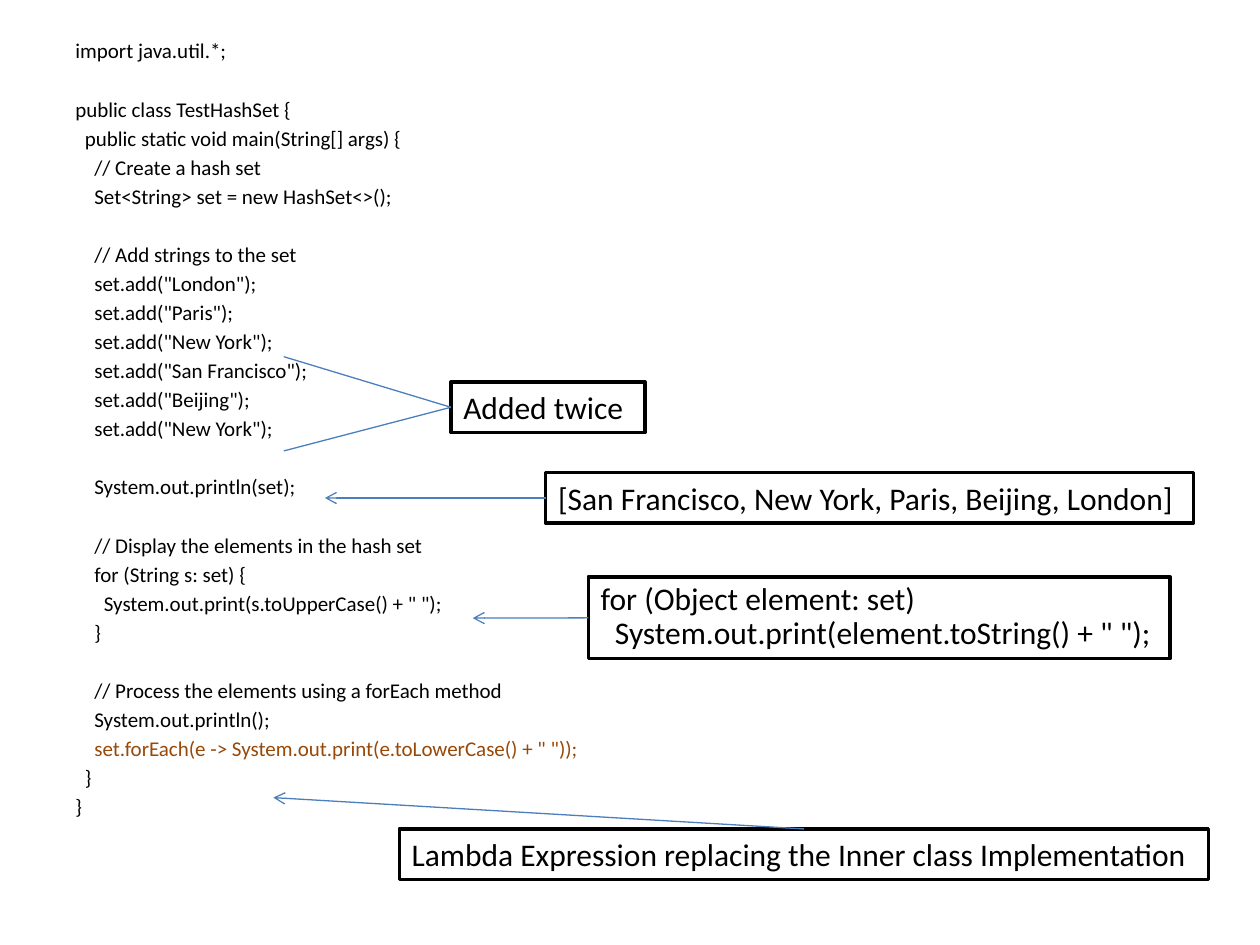
"""Build a slide that shows a HashSet program with callouts on its key lines."""
from lxml.etree import SubElement
from pptx import Presentation
from pptx.dml.color import RGBColor
from pptx.enum.shapes import MSO_CONNECTOR, MSO_SHAPE
from pptx.enum.text import MSO_ANCHOR, PP_ALIGN
from pptx.oxml.ns import qn
from pptx.util import Cm, Pt

FONT = "Calibri"
BLACK, WHITE, BLUE, BROWN = "000000", "FFFFFF", "4B7EBC", "984807"
SPACE_WIDTH = 0.226
LINE_GAP, BLOCK_GAP = 2.15, 18.95

CODE_BLOCKS = [
    ["import java.util.*;"],
    ["public class TestHashSet {",
     "  public static void main(String[] args) {",
     "    // Create a hash set",
     "    Set<String> set = new HashSet<>();"],
    ["    // Add strings to the set",
     '    set.add("London");',
     '    set.add("Paris");',
     '    set.add("New York");',
     '    set.add("San Francisco");',
     '    set.add("Beijing");',
     '    set.add("New York");'],
    ["    System.out.println(set);"],
    ["    // Display the elements in the hash set",
     "    for (String s: set) {",
     '      System.out.print(s.toUpperCase() + " ");',
     "    }"],
    ["    // Process the elements using a forEach method",
     "    System.out.println();",
     '    set.forEach(e -> System.out.print(e.toLowerCase() + " "));',
     "  }",
     "}"],
]

CALLOUTS = [
    {"lines": ["[San Francisco, New York, Paris, Beijing, London]"],
     "box": (11, 9.53, 13.06, 1.02), "from": "left",
     "targets": [(6.55, 10.04)], "arrow": True},
    {"lines": ["Added twice"],
     "box": (9.09, 7.7, 3.91, 1.02), "from": "left",
     "targets": [(5.72, 7.19), (5.72, 9.09)], "arrow": False},
    {"lines": ["for (Object element: set)",
               '  System.out.print(element.toString() + " ");'],
     "box": (11.86, 11.63, 11.73, 1.65), "from": "left",
     "targets": [(9.53, 12.46)], "arrow": True},
    {"lines": ["Lambda Expression replacing the Inner class Implementation"],
     "box": (8.05, 16.71, 16.31, 1.02), "from": "top",
     "targets": [(5.51, 16.08)], "arrow": True},
]


def color(value):
    return RGBColor.from_string(value)


def write_line(paragraph, line, size, ink=BLACK):
    code = line.lstrip()
    indent = Pt((len(line) - len(code)) * SPACE_WIDTH * size)
    properties = paragraph._p.get_or_add_pPr()
    properties.set("marL", str(indent))
    properties.set("indent", "0")
    paragraph.text = code
    paragraph.alignment = PP_ALIGN.LEFT
    paragraph.font.name = FONT
    paragraph.font.size = Pt(size)
    paragraph.font.color.rgb = color(ink)


def next_paragraph(frame, first):
    return frame.paragraphs[0] if first else frame.add_paragraph()


def add_code(slide):
    frame = slide.shapes.add_textbox(Cm(1.27), Cm(0.64), Cm(22.86), Cm(17.78)).text_frame
    frame.word_wrap = True
    for block_number, block in enumerate(CODE_BLOCKS):
        for line_number, line in enumerate(block):
            first = block_number == line_number == 0
            paragraph = next_paragraph(frame, first)
            write_line(paragraph, line, 12, BROWN if "->" in line else BLACK)
            gap = 0 if first else LINE_GAP if line_number else BLOCK_GAP
            paragraph.space_before = Pt(gap)


def add_pointer(slide, start, target, arrow):
    pointer = slide.shapes.add_connector(
        MSO_CONNECTOR.STRAIGHT, *(Cm(value) for value in start + target))
    pointer.line.color.rgb = color(BLUE)
    pointer.line.width = Pt(0.75)
    if arrow:
        SubElement(pointer.line._get_or_add_ln(), qn("a:tailEnd"), type="arrow")
    SubElement(pointer._element.spPr, qn("a:effectLst"))


def add_callout(slide, callout):
    left, top, width, height = callout["box"]
    start = (left, top + height / 2) if callout["from"] == "left" else (left + width / 2, top)
    note = slide.shapes.add_shape(
        MSO_SHAPE.RECTANGLE, *(Cm(value) for value in callout["box"]))
    note.shadow.inherit = False
    note.fill.solid()
    note.fill.fore_color.rgb = color(WHITE)
    note.line.color.rgb = color(BLACK)
    note.line.width = Pt(2)
    frame = note.text_frame
    frame.word_wrap = False
    frame.vertical_anchor = MSO_ANCHOR.TOP
    for number, line in enumerate(callout["lines"]):
        paragraph = next_paragraph(frame, number == 0)
        write_line(paragraph, line, 18)
        if len(callout["lines"]) > 1:
            paragraph.line_spacing = 0.9
    for target in callout["targets"]:
        add_pointer(slide, start, target, callout["arrow"])


def main():
    deck = Presentation()
    deck.slide_width, deck.slide_height = Cm(25.4), Cm(19.05)
    slide = deck.slides.add_slide(deck.slide_layouts[6])
    add_code(slide)
    for callout in CALLOUTS:
        add_callout(slide, callout)
    deck.save("out.pptx")


main()
